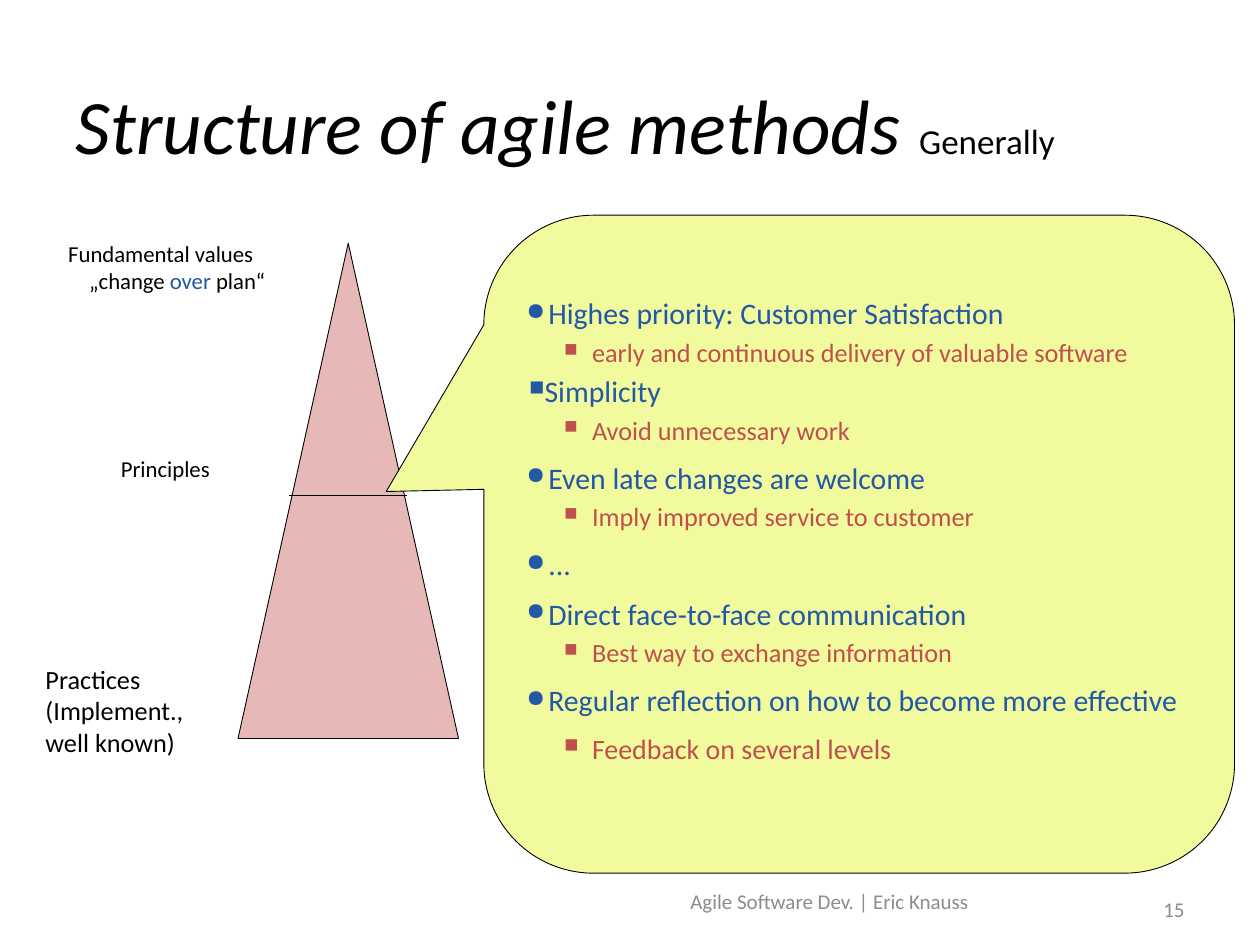
from lxml.etree import SubElement
from pptx import Presentation
from pptx.dml.color import RGBColor
from pptx.enum.shapes import MSO_CONNECTOR as Connector, MSO_SHAPE as Shape
from pptx.enum.text import MSO_ANCHOR as Anchor, MSO_AUTO_SIZE as AutoSize, PP_ALIGN as Align
from pptx.oxml.ns import qn
from pptx.util import Pt

BLACK = RGBColor(0, 0, 0)
GRAY = RGBColor(0x8C, 0x8C, 0x8C)
BLUE = RGBColor(0x23, 0x58, 0xA7)
RED = RGBColor(0xC0, 0x50, 0x4D)
PINK = RGBColor(0xE6, 0xB9, 0xB8)
LIME = RGBColor(0xF1, 0xFA, 0x9C)

WIDE, TIGHT = 8, 3
POINT = dict(char="●", scale=80, left=12.5, hang=-12.5, size=17, color=BLUE, level=0)
SQUARE_POINT = {**POINT, "char": "■", "scale": 70, "left": 1.5, "hang": 0}
DETAIL = dict(char="■", scale=70, left=37.5, hang=-16, size=15, color=RED, level=1)
PRINCIPLES = [
    ("Highes priority: Customer Satisfaction", POINT, 0),
    ("early and continuous delivery of valuable software", DETAIL, TIGHT),
    ("Simplicity", SQUARE_POINT, TIGHT),
    ("Avoid unnecessary work", DETAIL, TIGHT),
    ("Even late changes are welcome", POINT, WIDE),
    ("Imply improved service to customer", DETAIL, TIGHT),
    ("...", POINT, WIDE),
    ("Direct face-to-face communication", POINT, WIDE),
    ("Best way to exchange information", DETAIL, TIGHT),
    ("Regular reflection on how to become more effective", POINT, WIDE),
    ("Feedback on several levels", {**DETAIL, "size": 16}, WIDE),
]


def set_all(target, values):
    for name, value in values.items():
        setattr(target, name, value)


def points(box):
    return [Pt(length) for length in box]


def format_frame(frame, across=6, down=3, **values):
    set_all(frame, dict(
        word_wrap=True, auto_size=AutoSize.NONE,
        margin_left=Pt(across), margin_right=Pt(across),
        margin_top=Pt(down), margin_bottom=Pt(down)) | values)


def add_run(paragraph, text, size, color=BLACK, italic=False):
    run = paragraph.add_run()
    run.text = text
    set_all(run.font, dict(name="Calibri", size=Pt(size), italic=italic))
    run.font.color.rgb = color


def add_paragraphs(frame, count):
    return [frame.paragraphs[0]] + [frame.add_paragraph() for _ in range(count - 1)]


def outline(line):
    line.color.rgb = BLACK
    line.width = Pt(0.5)


def add_outlined(slide, preset, box, fill):
    shape = slide.shapes.add_shape(preset, *points(box))
    shape.shadow.inherit = False
    shape.fill.solid()
    shape.fill.fore_color.rgb = fill
    outline(shape.line)
    return shape


def add_heading(slide, box):
    title = slide.shapes.title
    set_all(title, dict(zip(("left", "top", "width", "height"), points(box))))
    format_frame(title.text_frame, 7.2, 3.6, vertical_anchor=Anchor.MIDDLE)
    paragraph = title.text_frame.paragraphs[0]
    paragraph.alignment = Align.LEFT
    add_run(paragraph, "Structure of agile methods ", 44, italic=True)
    add_run(paragraph, "Generally", 20)


def add_label(slide, box, lines, size, indent=0):
    frame = slide.shapes.add_textbox(*points(box)).text_frame
    format_frame(frame)
    paragraphs = add_paragraphs(frame, len(lines))
    for paragraph, parts in zip(paragraphs, lines):
        for text, color in parts:
            add_run(paragraph, text, size, color)
    if indent:
        paragraphs[-1]._p.get_or_add_pPr().set("marL", str(Pt(indent)))


def add_pyramid(slide, box):
    left, top, width, height = box
    add_outlined(slide, Shape.ISOSCELES_TRIANGLE, box, PINK)
    add_label(slide, (left - 103, top - 5, 166, 37),
              [[("Fundamental values", BLACK)],
               [("„change ", BLACK), ("over", BLUE), (" plan“", BLACK)]], 13, indent=12)
    add_label(slide, (left - 73, top + 118, 84, 22), [[("Principles", BLACK)]], 13)
    add_label(slide, (left - 116, top + 237, 117, 60),
              [[("Practices", BLACK)], [("(Implement.,", BLACK)], [("well known)", BLACK)]], 15)


def add_divider(slide, left, right, level):
    divider = slide.shapes.add_connector(Connector.STRAIGHT, *points((left, level, right, level)))
    outline(divider.line)
    SubElement(divider._element.spPr, qn("a:effectLst"))


def add_bullet(paragraph, style):
    properties = paragraph._p.get_or_add_pPr()
    properties.set("marL", str(Pt(style["left"])))
    properties.set("indent", str(Pt(style["hang"])))
    SubElement(properties, qn("a:buSzPct")).set("val", str(style["scale"] * 1000))
    SubElement(properties, qn("a:buChar")).set("char", style["char"])


def add_principles(slide, box):
    callout = add_outlined(slide, Shape.ROUNDED_RECTANGULAR_CALLOUT, box, LIME)
    for index, value in enumerate((-0.63, -0.08, 0.1667)):
        callout.adjustments[index] = value
    frame = callout.text_frame
    format_frame(frame, vertical_anchor=Anchor.MIDDLE, margin_bottom=Pt(19))
    paragraphs = add_paragraphs(frame, len(PRINCIPLES))
    for paragraph, (text, style, gap) in zip(paragraphs, PRINCIPLES):
        set_all(paragraph, dict(alignment=Align.LEFT, level=style["level"], space_before=Pt(gap)))
        add_bullet(paragraph, style)
        add_run(paragraph, text, style["size"], style["color"])


def add_footer(slide, box, text, alignment):
    frame = slide.shapes.add_textbox(*points(box)).text_frame
    format_frame(frame, 7.2, 3.6, vertical_anchor=Anchor.MIDDLE)
    frame.paragraphs[0].alignment = alignment
    add_run(frame.paragraphs[0], text, 12, GRAY)


def main():
    deck = Presentation()
    set_all(deck, dict(slide_width=Pt(720), slide_height=Pt(540)))
    slide = deck.slides.add_slide(deck.slide_layouts[5])
    add_heading(slide, (36, 36.5, 648, 68))
    add_footer(slide, (360, 500.5, 228, 29), "Agile Software Dev. | Eric Knauss", Align.CENTER)
    add_footer(slide, (601, 510.5, 83, 18), "15", Align.RIGHT)
    add_pyramid(slide, (136, 139, 126, 283))
    add_principles(slide, (276.5, 123, 429, 376))
    add_divider(slide, 165, 232.5, 283)
    deck.save("out.pptx")


if __name__ == "__main__":
    main()
